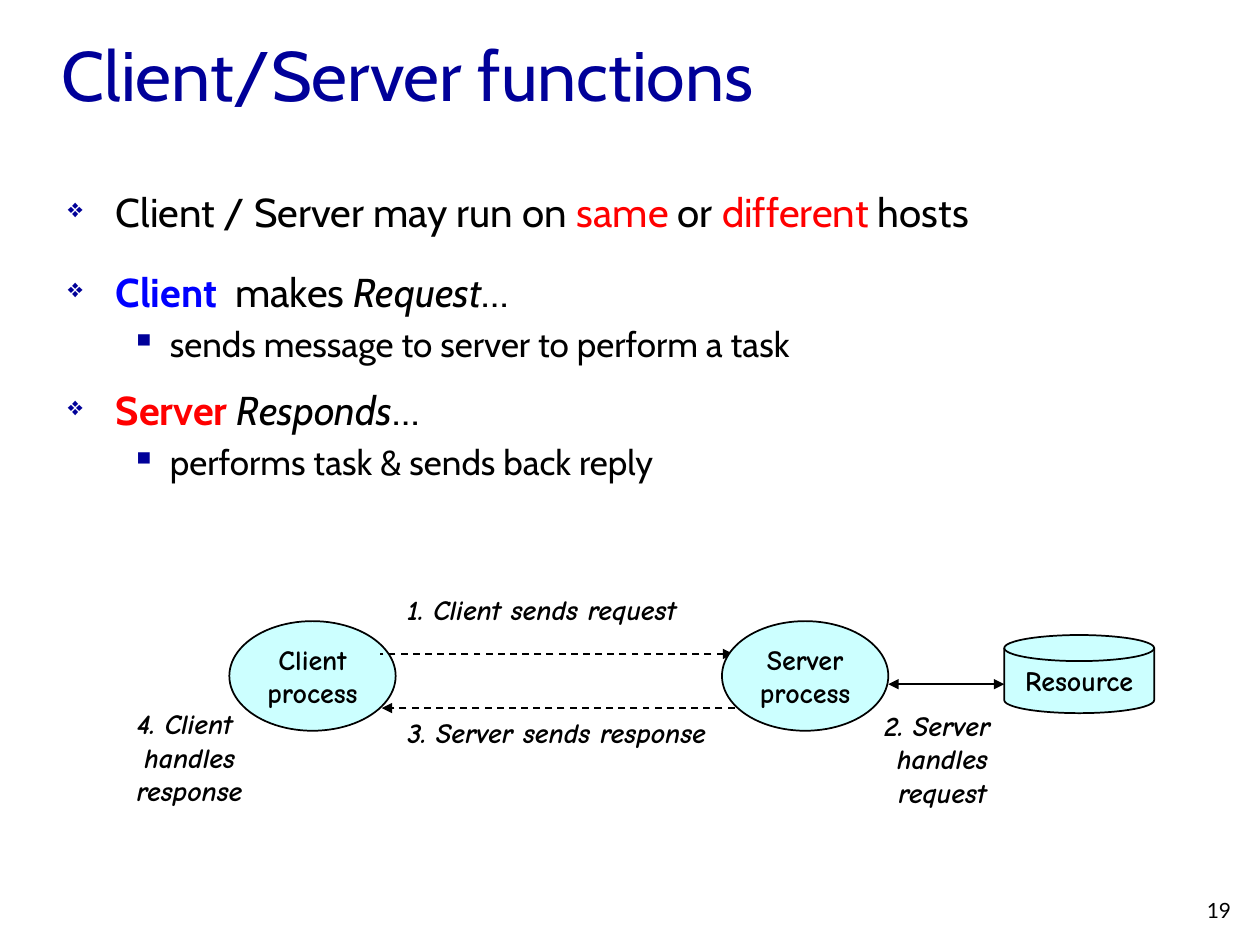
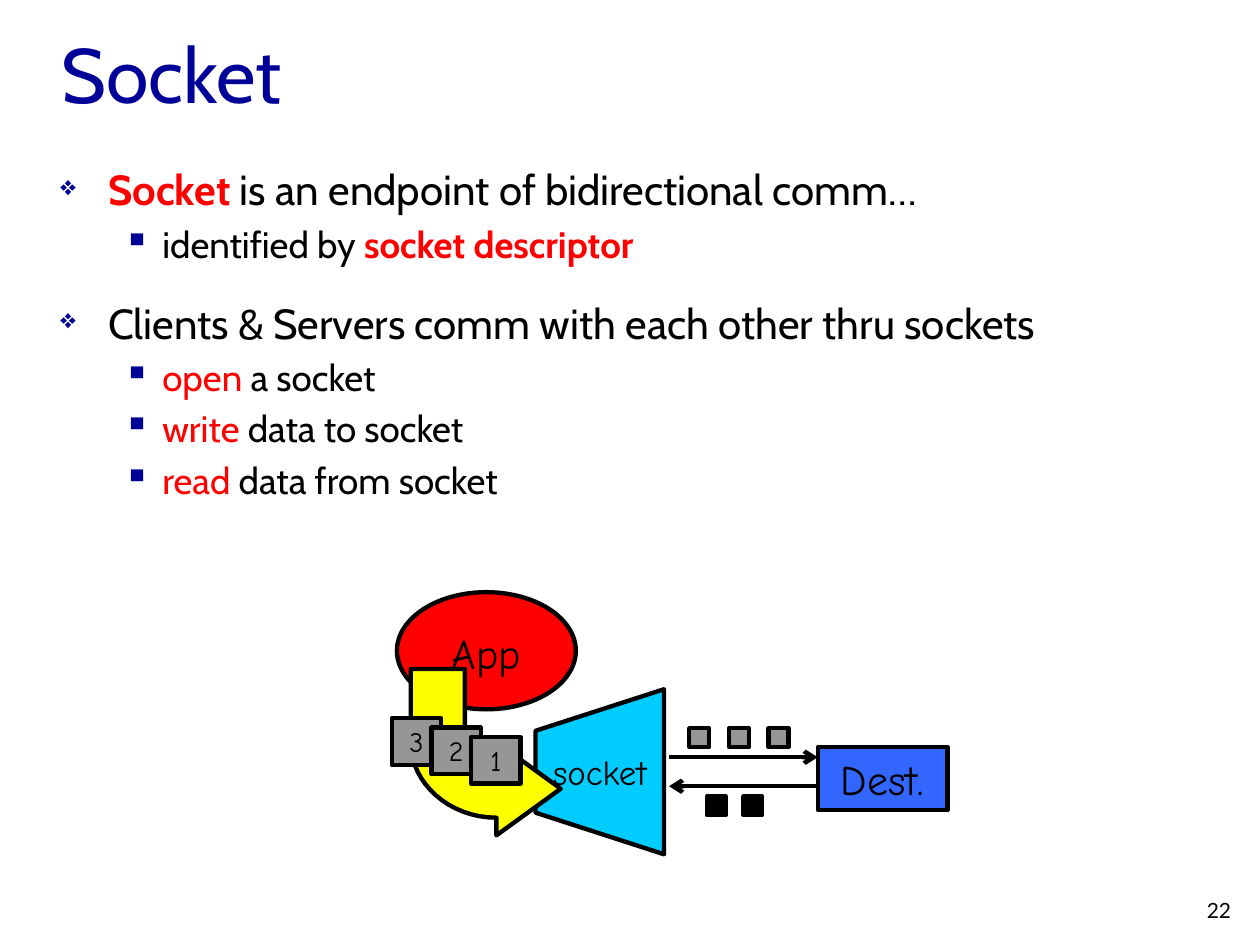
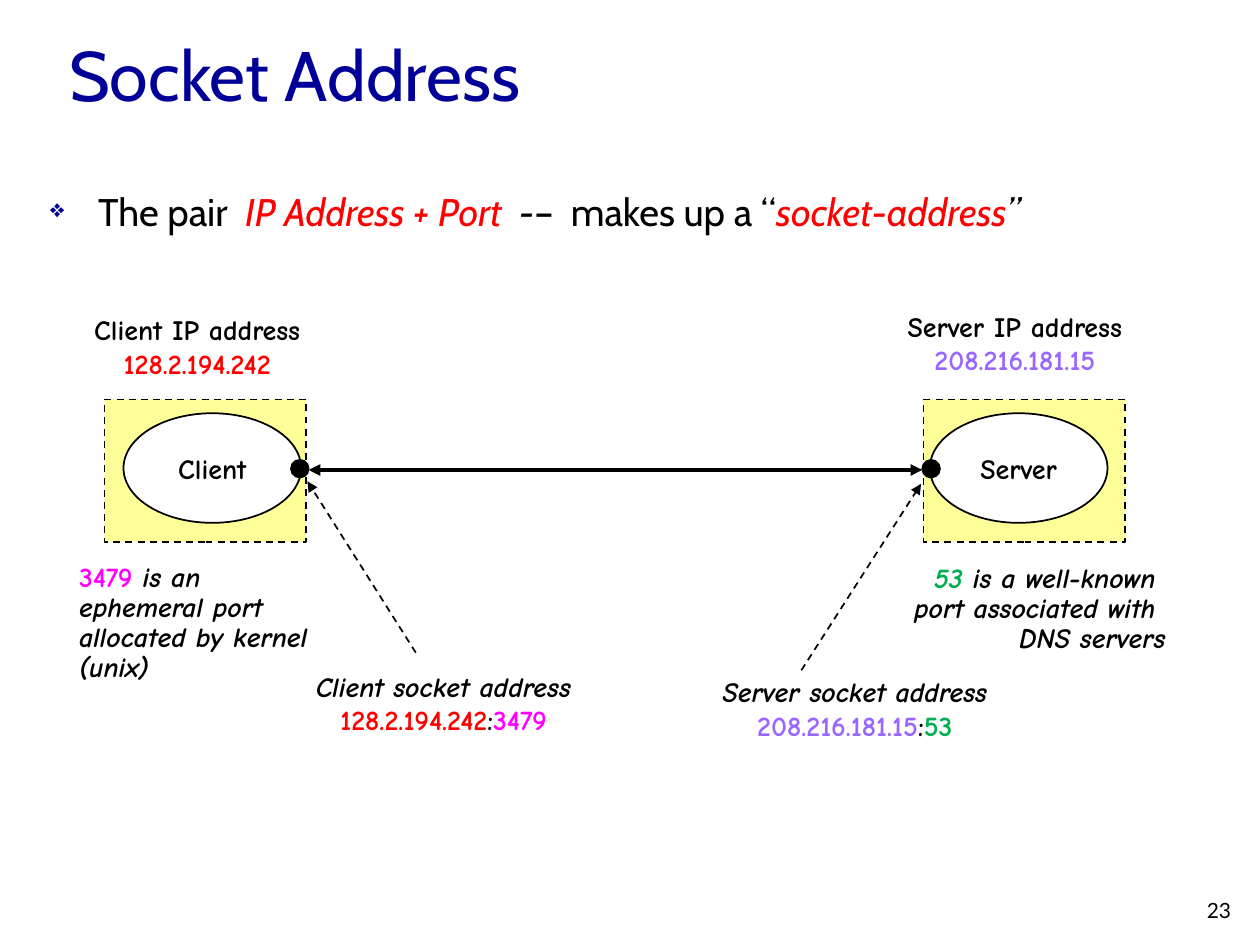
from lxml.etree import SubElement
from pptx import Presentation
from pptx.dml.color import RGBColor
from pptx.enum.dml import MSO_LINE
from pptx.enum.shapes import MSO_CONNECTOR, MSO_SHAPE as Preset
from pptx.enum.text import MSO_ANCHOR as Anchor, PP_ALIGN as Align
from pptx.oxml.ns import qn
from pptx.util import Inches, Pt

NAVY, BLACK, RED, BLUE = "000099", "000000", "FF0000", "0000FF"
AQUA, SAND, YELLOW, GRAY, WHITE = "CCFFFF", "FFFF99", "FFFF00", "969696", "FFFFFF"
SKY, ROYAL = "00CCFF", "3366FF"
PURPLE, MAGENTA, GREEN = "9966FF", "FF00FF", "00B050"
BODY_FONT, SKETCH_FONT, NUMBER_FONT = "Cabin", "Comic Neue", "Lato"

# bullet character, size in percent, left margin, hanging indent
BULLETS = [("❖", 65, 0.38, 0.38), ("▪", 100, 0.81, 0.31)]
LABEL = {"font": SKETCH_FONT, "size": 16, "bold": True, "align": Align.CENTER, "anchor": Anchor.MIDDLE}
SKETCH = {"font": SKETCH_FONT, "align": Align.CENTER, "space_before": "50%"}
RED_TEXT = {"color": RED}
RED_BOLD = {"color": RED, "bold": True}
RED_ITALIC = {"color": RED, "italic": True}
ITALIC = {"italic": True}

# bullet entries: level, space before, runs
FUNCTIONS = [
    (0, 6, ["Client / Server may run on ", ("same", RED_TEXT), " or ", ("different", RED_TEXT), " hosts"]),
    (0, 18, [("Client", {"color": BLUE, "bold": True}), "  makes ", ("Request", ITALIC), "…"]),
    (1, "20%", ["sends message to server to perform a task"]),
    (0, 12, [("Server ", RED_BOLD), ("Responds", ITALIC), "…"]),
    (1, "20%", ["performs task & sends back reply"]),
]
PROCESSES = [("Client", 1.82), ("Server", 5.73)]
STEPS = [
    (["1. Client sends request"], (2.94, 4.65, 2.72, 0.37)),
    (["2. Server ", "handles", "request"], (6.8, 5.57, 1.36, 0.9)),
    (["3. Server sends response"], (2.94, 5.63, 2.96, 0.37)),
    (["4. Client ", "handles", "response"], (0.89, 5.56, 1.23, 0.9)),
]

SOCKET = [
    (0, 6, [("Socket", RED_BOLD), " is an endpoint of bidirectional comm…"]),
    (1, "20%", ["identified by ", ("socket descriptor", RED_BOLD)]),
    (0, 18, ["Clients & Servers comm with each other thru sockets"]),
    (1, "20%", [("open", RED_TEXT), " a socket"]),
    (1, "20%", [("write", RED_TEXT), " data to socket"]),
    (1, "20%", [("read", RED_TEXT), " data from socket"]),
]
TRAPEZOID = [(5.27, 5.47), (4.25, 5.8), (4.25, 6.45), (5.27, 6.78)]

ADDRESS = [
    (0, 12, ["The pair  ", ("IP Address + Port", RED_ITALIC), ("  -", ITALIC), "–  makes up a “",
             ("socket-address", RED_ITALIC), ("”", ITALIC)]),
]
HOSTS = [
    {"name": "Server", "ip": "208.216.181.15", "ip_color": PURPLE, "port": "53", "port_color": GREEN,
     "host_left": 7.33, "process_left": 7.38, "dot_left": 7.32,
     "ip_box": (6.95, 2.4, 2.21, 0.64), "socket_box": (5.37, 5.3, 2.83, 0.64),
     "pointer": ((6.36, 5.32), (7.31, 3.84))},
    {"name": "Client", "ip": "128.2.194.242", "ip_color": RED, "port": "3479", "port_color": MAGENTA,
     "host_left": 0.83, "process_left": 0.98, "dot_left": 2.31,
     "ip_box": (0.52, 2.43, 2.09, 0.64), "socket_box": (2.26, 5.26, 2.52, 0.64),
     "pointer": ((3.3, 5.18), (2.44, 3.82))},
]


def rgb(value):
    return RGBColor.from_string(value)


def inches(values):
    return [Inches(value) for value in values]


def set_space_before(paragraph, space):
    """Take points as a number, or a share of the line as text such as "20%"."""
    if not isinstance(space, str):
        paragraph.space_before = Pt(space)
        return
    paragraph.space_before = Pt(0)
    spacing = paragraph._p.pPr.find(qn("a:spcBef"))
    spacing.clear()
    SubElement(spacing, qn("a:spcPct"), val=str(int(space.rstrip("%")) * 1000))


def write_text(shape, paragraphs, font=BODY_FONT, size=16, color=BLACK, bold=False, italic=False,
               align=Align.LEFT, anchor=Anchor.TOP, wrap=True, space_before=0, line_spacing=None):
    """Each paragraph is a text or a list of runs; a run is a text or (text, format)."""
    frame = shape.text_frame
    frame.word_wrap = wrap
    frame.vertical_anchor = anchor
    for index, runs in enumerate(paragraphs):
        paragraph = frame.add_paragraph() if index else frame.paragraphs[0]
        paragraph.alignment = align
        if line_spacing:
            paragraph.line_spacing = line_spacing
        set_space_before(paragraph, space_before)
        for part in [runs] if isinstance(runs, str) else runs:
            text, changes = (part, {}) if isinstance(part, str) else part
            style = {"color": color, "bold": bold, "italic": italic, **changes}
            for number, line in enumerate(text.split("\n")):
                if number:
                    paragraph.add_line_break()
                run = paragraph.add_run()
                run.text = line
                run.font.name, run.font.size = font, Pt(size)
                run.font.bold, run.font.italic = style["bold"], style["italic"]
                run.font.color.rgb = rgb(style["color"])


def add_text(slide, bounds, paragraphs, **style):
    shape = slide.shapes.add_textbox(*inches(bounds))
    write_text(shape, paragraphs, **style)
    return shape


def paint(shape, fill, width, dash=None):
    shape.shadow.inherit = False
    shape.fill.solid()
    shape.fill.fore_color.rgb = rgb(fill)
    shape.line.color.rgb = rgb(BLACK)
    shape.line.width = Pt(width)
    if dash:
        shape.line.dash_style = dash


def add_shape(slide, preset, bounds, fill, width=1, dash=None, paragraphs=(), **style):
    shape = slide.shapes.add_shape(preset, *inches(bounds))
    paint(shape, fill, width, dash)
    if paragraphs:
        write_text(shape, paragraphs, **style)


def add_outline(slide, points, fill, width):
    start, *others = [inches(point) for point in points]
    builder = slide.shapes.build_freeform(*start)
    builder.add_line_segments(others, close=True)
    paint(builder.convert_to_shape(), fill, width)


def curve(start, control1, control2, end, steps=16):
    """Points along a cubic Bézier curve, without its start."""
    points = []
    for step in range(1, steps + 1):
        t = step / steps
        weights = ((1 - t) ** 3, 3 * t * (1 - t) ** 2, 3 * t * t * (1 - t), t ** 3)
        corners = (start, control1, control2, end)
        points.append(tuple(sum(w * c[axis] for w, c in zip(weights, corners)) for axis in (0, 1)))
    return points


def add_line(slide, start, end, width=1, dash=None, head=None, tail=None):
    line = slide.shapes.add_connector(MSO_CONNECTOR.STRAIGHT, *inches(start + end))
    line.line.color.rgb = rgb(BLACK)
    line.line.width = Pt(width)
    if dash:
        line.line.dash_style = dash
    for tag, kind in (("a:headEnd", head), ("a:tailEnd", tail)):
        if kind:
            SubElement(line.line._get_or_add_ln(), qn(tag), type=kind)
    SubElement(line._element.spPr, qn("a:effectLst"))


def add_bullets(slide, bounds, entries, sizes, line_spacing=None):
    shape = add_text(slide, bounds, [runs for _, _, runs in entries], line_spacing=line_spacing)
    for paragraph, (level, space, _) in zip(shape.text_frame.paragraphs, entries):
        character, percent, margin, indent = BULLETS[level]
        paragraph.level = level
        set_space_before(paragraph, space)
        for run in paragraph.runs:
            run.font.size = Pt(sizes[level])
        properties = paragraph._p.get_or_add_pPr()
        properties.set("marL", str(Inches(margin)))
        properties.set("indent", str(-Inches(indent)))
        SubElement(SubElement(properties, qn("a:buClr")), qn("a:srgbClr"), val=NAVY)
        SubElement(properties, qn("a:buSzPct"), val=str(percent * 1000))
        SubElement(properties, qn("a:buChar"), char=character)


def add_slide(presentation, title, number, left=0.39, size=40):
    slide = presentation.slides.add_slide(presentation.slide_layouts[6])
    add_text(slide, (left, 0.08, 9, 1), [title], size=size, color=NAVY, anchor=Anchor.MIDDLE)
    add_text(slide, (9.48, 7.07, 0.5, 0.42), [str(number)], font=NUMBER_FONT, size=12)
    return slide


def build_functions(presentation):
    slide = add_slide(presentation, "Client/Server functions", 19)
    add_bullets(slide, (0.44, 1.44, 9.38, 2.41), FUNCTIONS, (23, 20))
    client, server = [
        lambda name=name, left=left: add_shape(
            slide, Preset.OVAL, (left, 4.93, 1.32, 0.87), AQUA,
            paragraphs=[name, "process"], wrap=False, **LABEL)
        for name, left in PROCESSES
    ]
    client()
    add_line(slide, (5.82, 5.19), (3.02, 5.19), dash=MSO_LINE.DASH, head="triangle")
    server()
    add_line(slide, (5.83, 5.62), (3.03, 5.62), dash=MSO_LINE.DASH, tail="triangle")
    for lines, bounds in STEPS:
        add_text(slide, bounds, lines, italic=True, wrap=False, **LABEL)
    add_line(slide, (7.05, 5.43), (7.97, 5.43), head="triangle", tail="triangle")
    add_shape(slide, Preset.FLOWCHART_MAGNETIC_DISK, (7.97, 5.04, 1.19, 0.62), AQUA,
              paragraphs=["Resource"], wrap=False, **LABEL)


def build_socket(presentation):
    slide = add_slide(presentation, "Socket", 22, size=44)
    add_bullets(slide, (0.38, 1.25, 9.45, 3.67), SOCKET, (24, 21))
    width = 2.5
    add_shape(slide, Preset.OVAL, (3.15, 4.7, 1.42, 0.93), RED, width)
    add_text(slide, (3.11, 4.93, 1.5, 0.46), ["App"], size=24, **SKETCH)
    add_outline(slide, TRAPEZOID, SKY, width)
    add_text(slide, (3.89, 5.92, 1.74, 0.4), ["socket"], size=20, anchor=Anchor.MIDDLE, **SKETCH)
    bent_arrow = [
        (4.45, 6.26), (3.94, 6.63), (3.94, 6.49),
        *curve((3.94, 6.49), (3.57, 6.49), (3.26, 6.22), (3.26, 5.89)),
        (3.26, 5.31), (3.69, 5.31), (3.69, 5.89),
        *curve((3.69, 5.89), (3.69, 5.96), (3.8, 6.03), (3.94, 6.03)),
        (3.94, 5.89),
    ]
    add_outline(slide, bent_arrow, YELLOW, width)
    for index, packet in enumerate("321"):
        add_shape(slide, Preset.RECTANGLE, (3.11 + 0.315 * index, 5.7 + 0.075 * index, 0.39, 0.37),
                  GRAY, width, paragraphs=[packet], **SKETCH)
    for index in range(3):
        add_shape(slide, Preset.RECTANGLE, (5.47 + 0.315 * index, 5.78, 0.16, 0.15), GRAY, width)
    add_line(slide, (5.31, 6.01), (6.49, 6.01), width, tail="arrow")
    add_shape(slide, Preset.RECTANGLE, (6.49, 5.93, 1.03, 0.5), ROYAL, width,
              paragraphs=["Dest."], size=24, anchor=Anchor.MIDDLE, **SKETCH)
    add_line(slide, (6.49, 6.24), (5.31, 6.24), width, tail="arrow")
    for left in (5.61, 5.9):
        add_shape(slide, Preset.RECTANGLE, (left, 6.32, 0.15, 0.15), BLACK, width)


def build_address(presentation):
    slide = add_slide(presentation, "Socket Address", 23, left=0.45)
    add_bullets(slide, (0.3, 1.5, 8.94, 0.56), ADDRESS, (22,), line_spacing=0.85)
    for host in HOSTS:
        name, ip = host["name"], (host["ip"], {"color": host["ip_color"]})
        port = (host["port"], {"color": host["port_color"]})
        add_shape(slide, Preset.RECTANGLE, (host["host_left"], 3.17, 1.6, 1.13), SAND, dash=MSO_LINE.DASH)
        add_shape(slide, Preset.OVAL, (host["process_left"], 3.28, 1.41, 0.87), WHITE,
                  paragraphs=[name], wrap=False, **LABEL)
        add_shape(slide, Preset.OVAL, (host["dot_left"], 3.65, 0.14, 0.14), BLACK)
        add_text(slide, host["ip_box"], [f"{name} IP address", [ip]], **LABEL)
        add_text(slide, host["socket_box"], [[(f"{name} socket address", ITALIC)], [ip, ":", port]], **LABEL)
        add_line(slide, *host["pointer"], dash=MSO_LINE.DASH, tail="triangle")
    add_line(slide, (2.45, 3.73), (7.32, 3.73), 2.25, head="triangle", tail="triangle")
    note = {"font": SKETCH_FONT, "bold": True, "italic": True, "line_spacing": 0.9}
    add_text(slide, (0.53, 4.42, 2.17, 1.07),
             [[("3479", {"color": MAGENTA, "italic": False}), " is an"],
              "ephemeral port allocated by kernel (unix)"], **note)
    add_text(slide, (6.83, 4.43, 2.52, 0.83),
             [[("53", {"color": GREEN}), " is a well-known \nport associated with \nDNS servers"]],
             align=Align.RIGHT, wrap=False, **note)


def main():
    presentation = Presentation()
    presentation.slide_width, presentation.slide_height = Inches(10), Inches(7.5)
    build_functions(presentation)
    build_socket(presentation)
    build_address(presentation)
    presentation.save("out.pptx")


if __name__ == "__main__":
    main()
